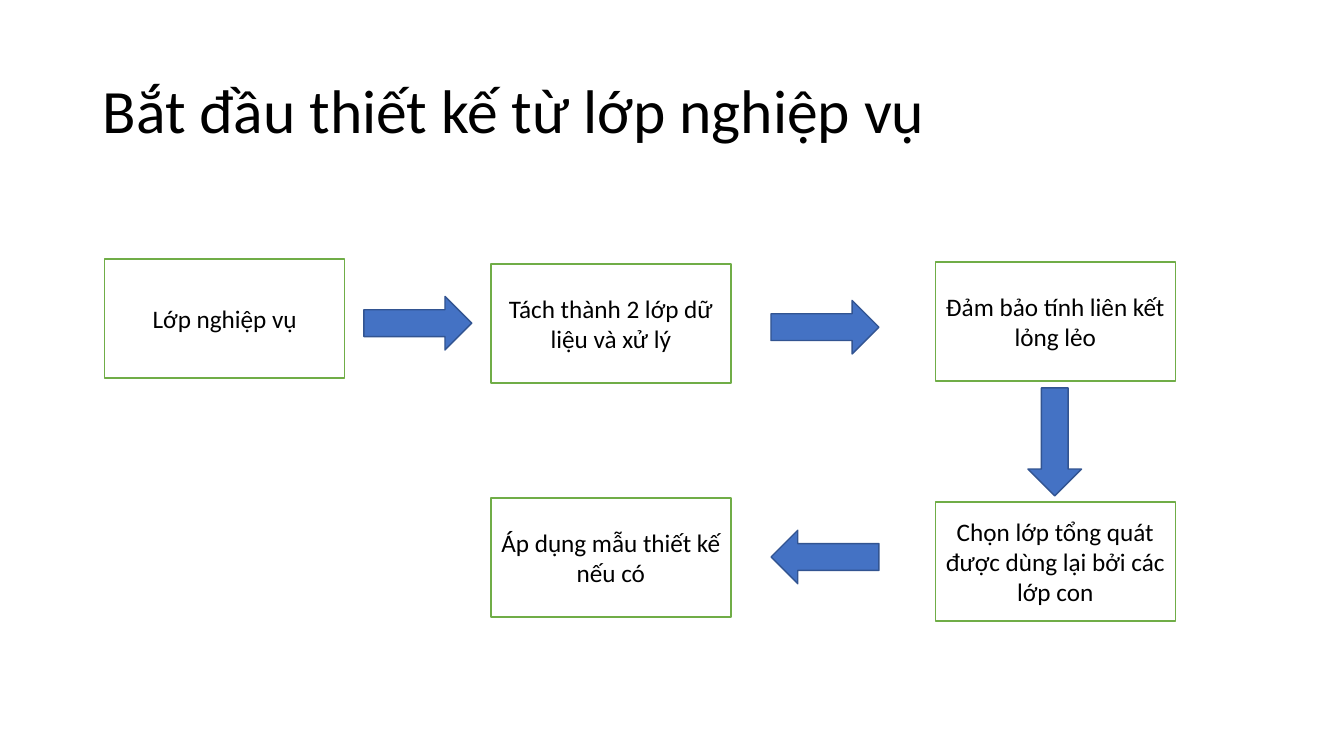
from pptx import Presentation
from pptx.dml.color import RGBColor
from pptx.enum.shapes import MSO_SHAPE
from pptx.enum.text import MSO_ANCHOR, MSO_AUTO_SIZE, PP_ALIGN
from pptx.util import Cm, Pt

COLORS = {
    "text": "000000",
    "box": "FFFFFF",
    "box_line": "70AD47",
    "arrow": "4472C4",
    "arrow_line": "325491",
}
FONT = "Calibri"
BOX_SIZE = (6.05, 3)
ARROW_SIZE = (2.72, 1.35)
TITLE_FRAME = {
    "word_wrap": True,
    "auto_size": MSO_AUTO_SIZE.NONE,
    "vertical_anchor": MSO_ANCHOR.MIDDLE,
}
BOX_FRAME = {"word_wrap": True, "vertical_anchor": MSO_ANCHOR.MIDDLE}
TITLE_PARAGRAPH = {"alignment": PP_ALIGN.LEFT, "line_spacing": 0.9}
BOX_PARAGRAPH = {"alignment": PP_ALIGN.CENTER}

STEPS = [
    ("Lớp nghiệp vụ", 2.64, 6.53),
    ("Tách thành 2 lớp dữ liệu và xử lý", 12.37, 6.65),
    ("Đảm bảo tính liên kết lỏng lẻo", 23.57, 6.6),
    ("Chọn lớp tổng quát được dùng lại bởi các lớp con", 23.57, 12.65),
    ("Áp dụng mẫu thiết kế nếu có", 12.37, 12.55),
]
ARROWS = [
    (9.17, 7.47, 0),
    (19.43, 7.57, 0),
    (25.22, 10.46, 90),
    (19.43, 13.36, 180),
]


def color(name):
    """Return the named colour."""
    return RGBColor.from_string(COLORS[name])


def apply_format(target, values):
    """Set every attribute in values on target."""
    for name, value in values.items():
        setattr(target, name, value)


def write_text(shape, text, size, frame_format, paragraph_format):
    """Write one formatted paragraph into a shape."""
    frame = shape.text_frame
    apply_format(frame, frame_format)
    paragraph = frame.paragraphs[0]
    apply_format(paragraph, paragraph_format)
    run = paragraph.add_run()
    run.text = text
    apply_format(run.font, {"name": FONT, "size": Pt(size)})
    run.font.color.rgb = color("text")


def add_title(slide, text):
    """Place and fill the title placeholder."""
    title = slide.shapes.title
    apply_format(title, {"left": Cm(2.34), "top": Cm(1.02),
                         "width": Cm(29.21), "height": Cm(3.68)})
    write_text(title, text, 44, TITLE_FRAME, TITLE_PARAGRAPH)


def add_flat_shape(slide, preset, left, top, size, style):
    """Add a shadowless shape in the colours of a style."""
    width, height = size
    shape = slide.shapes.add_shape(preset, Cm(left), Cm(top), Cm(width), Cm(height))
    shape.shadow.inherit = False
    shape.fill.solid()
    shape.fill.fore_color.rgb = color(style)
    shape.line.color.rgb = color(f"{style}_line")
    shape.line.width = Pt(1)
    return shape


def add_step(slide, text, left, top):
    """Add one labelled step of the flow."""
    box = add_flat_shape(slide, MSO_SHAPE.RECTANGLE, left, top, BOX_SIZE, "box")
    write_text(box, text, 18, BOX_FRAME, BOX_PARAGRAPH)


def add_arrow(slide, left, top, rotation):
    """Add one block arrow turned by rotation degrees."""
    arrow = add_flat_shape(slide, MSO_SHAPE.RIGHT_ARROW, left, top, ARROW_SIZE, "arrow")
    arrow.rotation = rotation


def main():
    """Build and save the slide."""
    presentation = Presentation()
    apply_format(presentation, {"slide_width": Cm(33.87), "slide_height": Cm(19.05)})
    slide = presentation.slides.add_slide(presentation.slide_layouts[5])
    add_title(slide, "Bắt đầu thiết kế từ lớp nghiệp vụ")
    for step in STEPS:
        add_step(slide, *step)
    for arrow in ARROWS:
        add_arrow(slide, *arrow)
    presentation.save("out.pptx")


main()
